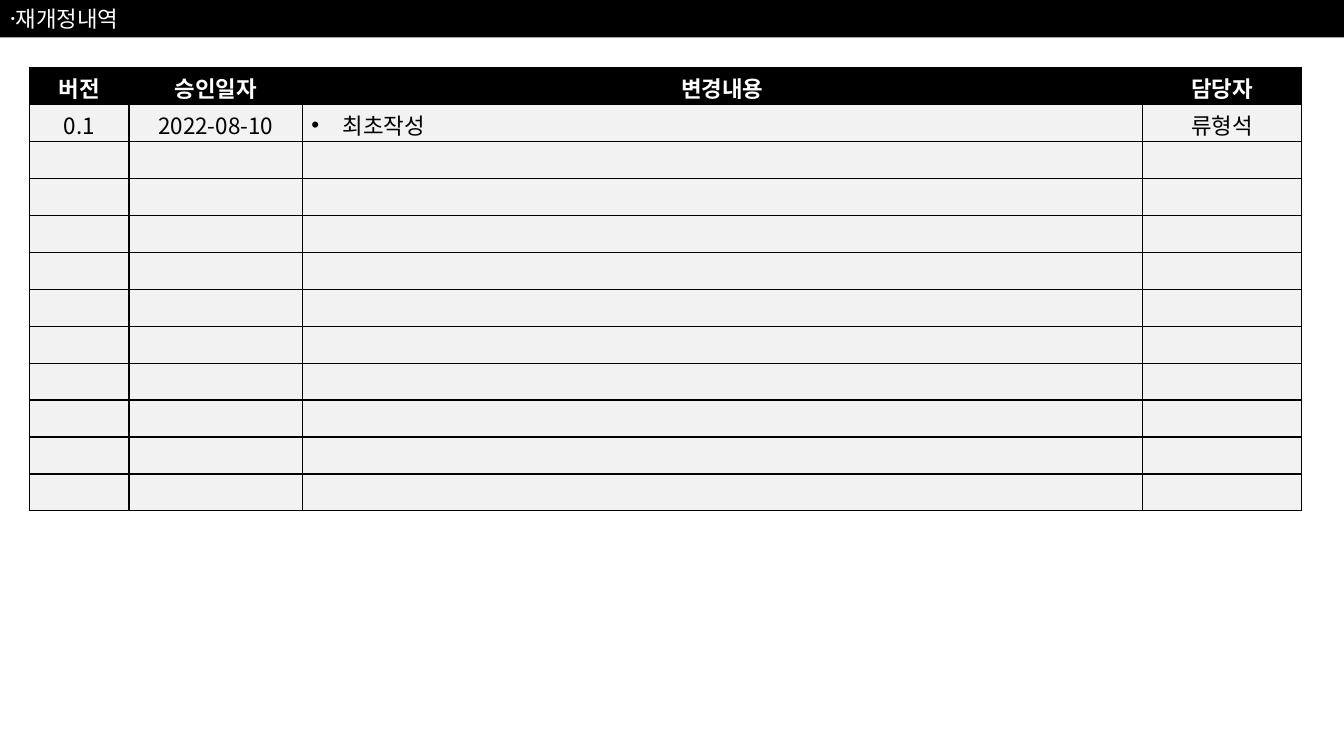
from lxml.etree import SubElement
from pptx import Presentation
from pptx.dml.color import RGBColor
from pptx.enum.text import MSO_ANCHOR, PP_ALIGN
from pptx.oxml import parse_xml
from pptx.oxml.ns import nsdecls, qn
from pptx.util import Inches, Pt

FONT = "Noto Sans CJK KR"
BLACK, WHITE, GRAY = "000000", "FFFFFF", "F2F2F2"


def paint(fill, color):
    fill.solid()
    fill.fore_color.rgb = RGBColor.from_string(color)


def write(para, text, color, bold=False):
    span = para.add_run()
    span.text = text
    for name, value in {"name": FONT, "size": Pt(16), "bold": bold}.items():
        setattr(span.font, name, value)
    paint(span.font.fill, color)
    SubElement(span.font._element, qn("a:ea"), typeface=FONT)


deck = Presentation()
deck.slide_width, deck.slide_height = Inches(13.33), Inches(7.5)
page = deck.slides.add_slide(deck.slide_layouts[5])

title = page.shapes.title
title_format = {"left": 0, "top": 0, "width": deck.slide_width, "height": Inches(0.37)}
for name, value in title_format.items():
    setattr(title, name, value)
paint(title.fill, BLACK)
frame = title.text_frame
frame_format = {
    "margin_left": Inches(0.1),
    "margin_top": 0,
    "margin_bottom": 0,
    "vertical_anchor": MSO_ANCHOR.MIDDLE,
    "word_wrap": True,
}
for name, value in frame_format.items():
    setattr(frame, name, value)
frame.paragraphs[0].alignment = PP_ALIGN.LEFT
write(frame.paragraphs[0], "재\u302e개정내역", WHITE)

headings = ["버전", "승인일자", "변경내용", "담당자"]
first_revision = ["0.1", "2022-08-10", "최초작성", "류형석"]
revisions = [headings, first_revision] + [[""] * 4] * 10
column_widths = [0.99, 1.72, 8.33, 1.58]
table_height = 4.4
cell_format = {
    "margin_left": Inches(0.09),
    "margin_right": Inches(0.09),
    "margin_top": Inches(0.04),
    "margin_bottom": 0,
    "vertical_anchor": MSO_ANCHOR.TOP,
}

table = page.shapes.add_table(
    len(revisions), len(headings),
    Inches(0.29), Inches(0.67), Inches(sum(column_widths)), Inches(table_height),
).table
table.horz_banding = False
for column, width in zip(table.columns, column_widths):
    column.width = Inches(width)

for row_index, revision in enumerate(revisions):
    table.rows[row_index].height = Inches(table_height / len(revisions))
    is_heading = row_index == 0
    for column_index, text in enumerate(revision):
        cell = table.cell(row_index, column_index)
        for name, value in cell_format.items():
            setattr(cell, name, value)
        paint(cell.fill, BLACK if is_heading else GRAY)
        properties = cell._tc.get_or_add_tcPr()
        for position, side in enumerate(["lnL", "lnR", "lnT", "lnB"]):
            properties.insert(position, parse_xml(
                f'<a:{side} {nsdecls("a")} w="{Pt(1)}"><a:solidFill>'
                f'<a:srgbClr val="{BLACK}"/></a:solidFill></a:{side}>'
            ))
        para = cell.text_frame.paragraphs[0]
        if not text:
            SubElement(para._p, qn("a:endParaRPr"), sz="1600")
            continue
        write(para, text, WHITE if is_heading else BLACK, is_heading)
        if text == "최초작성":
            indent = Inches(0.31)
            bullet = para._p.get_or_add_pPr()
            bullet.set("marL", str(indent))
            bullet.set("indent", str(-indent))
            SubElement(bullet, qn("a:buFont"), typeface="Arial")
            SubElement(bullet, qn("a:buChar"), char="•")
        else:
            para.alignment = PP_ALIGN.CENTER

deck.save("out.pptx")
